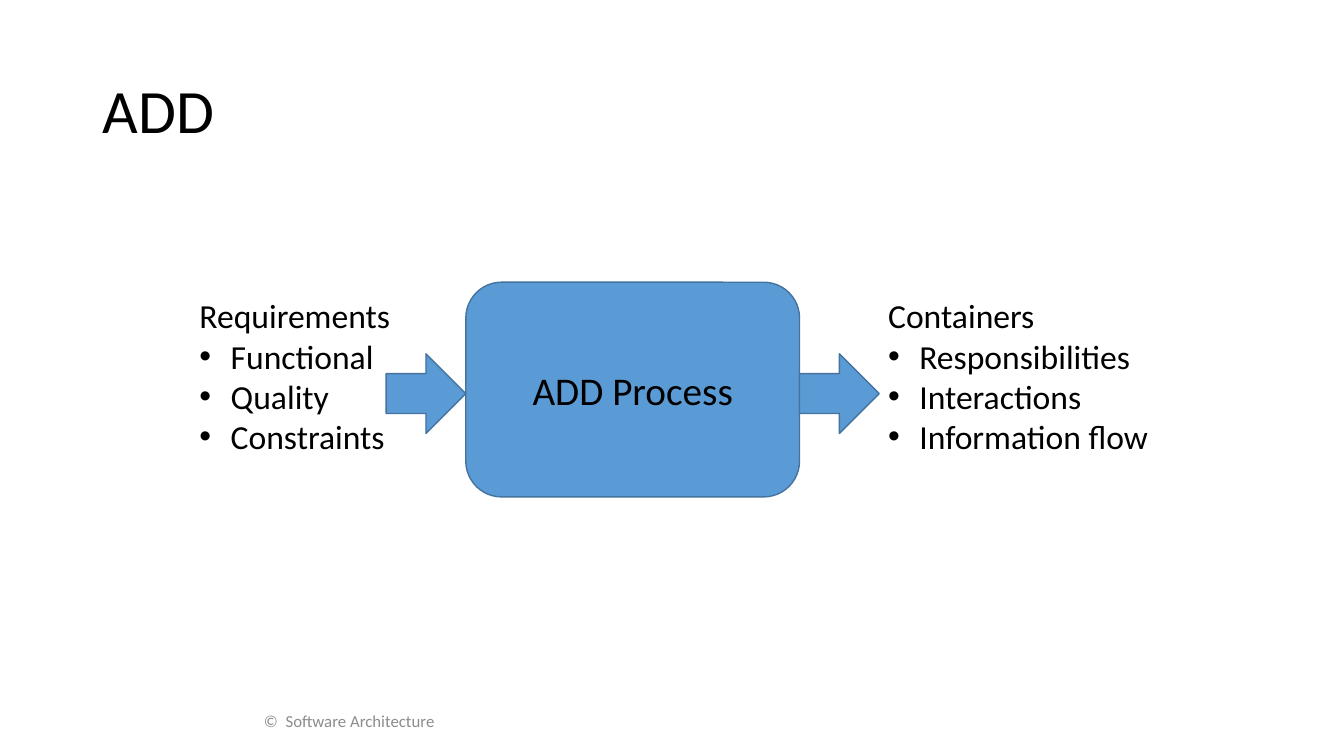
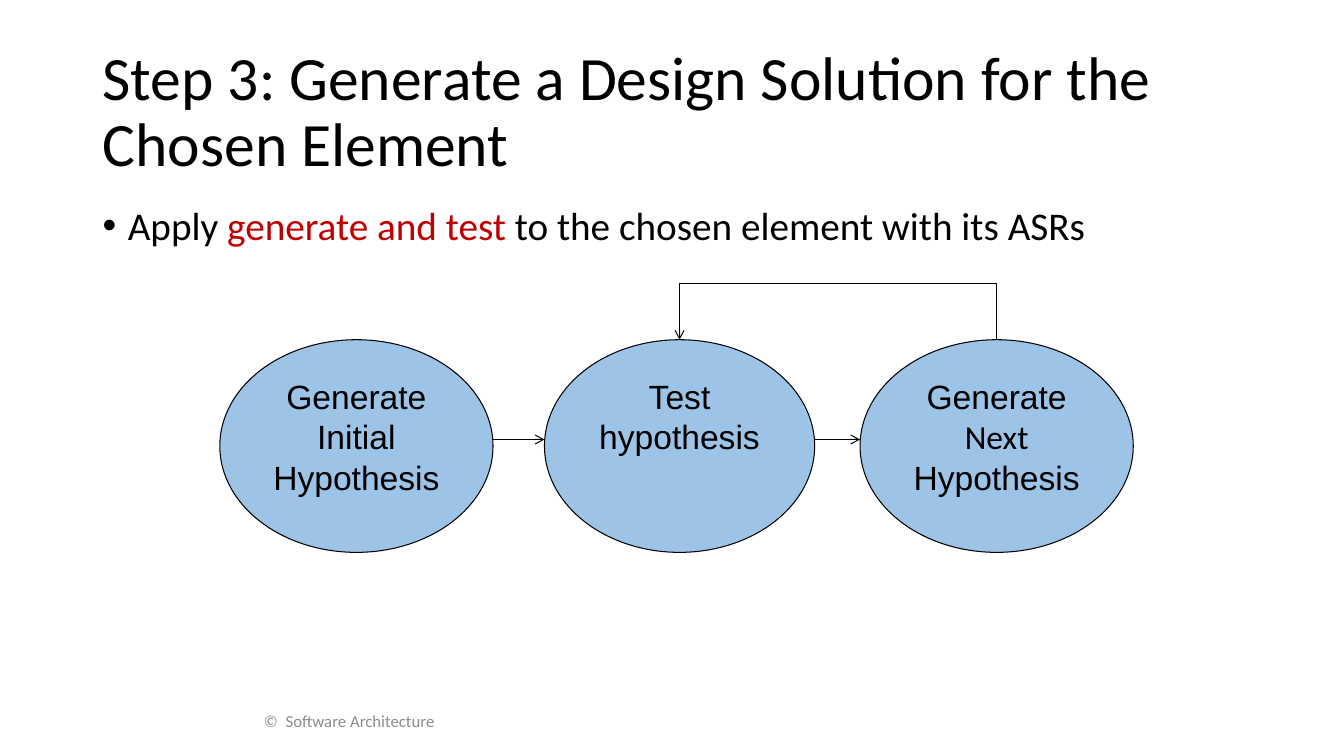
import pptx
import pptx.util
import pptx.dml.color
import pptx.enum.shapes
import pptx.enum.text
import pptx.oxml.ns
import lxml.etree

Inches = pptx.util.Inches
Pt = pptx.util.Pt
Shapes = pptx.enum.shapes.MSO_SHAPE
Align = pptx.enum.text.PP_ALIGN
Anchor = pptx.enum.text.MSO_ANCHOR
qn = pptx.oxml.ns.qn

theme = {
    "text": "000000", "muted": "8C8C8C", "accent": "C00000",
    "process": "5B9BD5", "process_line": "43739E", "bubble": "9DC3E6",
    "font": "Calibri", "bubble_font": "Arial",
    "title": 44, "body": 28, "label": 24, "footer": 12,
}


def write(shape, paragraphs, size, color="text", font="font", anchor=Anchor.TOP,
          wrap=True, indent=0.31, **formats):
    frame = shape.text_frame
    frame.word_wrap = wrap
    frame.vertical_anchor = anchor
    for index, (bullet, runs) in enumerate(paragraphs):
        para = frame.add_paragraph() if index else frame.paragraphs[0]
        for name, value in {"alignment": Align.LEFT, **formats}.items():
            setattr(para, name, value)
        if bullet:
            properties = para._p.get_or_add_pPr()
            properties.set("marL", str(Inches(indent)))
            properties.set("indent", str(-Inches(indent)))
            lxml.etree.SubElement(properties, qn("a:buFont")).set("typeface", "Arial")
            lxml.etree.SubElement(properties, qn("a:buChar")).set("char", "•")
        for text, changes in runs:
            look = {"color": color, "font": font, **changes}
            span = para.add_run()
            span.text = text
            for name, value in {"size": Pt(theme[size]), "name": theme[look["font"]]}.items():
                setattr(span.font, name, value)
            span.font.color.rgb = pptx.dml.color.RGBColor.from_string(theme[look["color"]])


def draw(slide, kind, place, fill, line, width):
    shape = slide.shapes.add_shape(kind, *map(Inches, place))
    shape.shadow.inherit = False
    shape.fill.solid()
    shape.fill.fore_color.rgb = pptx.dml.color.RGBColor.from_string(theme[fill])
    shape.line.color.rgb = pptx.dml.color.RGBColor.from_string(theme[line])
    shape.line.width = Pt(width)
    return shape


deck = pptx.Presentation()
deck.slide_width, deck.slide_height = Inches(13.33), Inches(7.5)

slides = []
for title in ("ADD", "Step 3: Generate a Design Solution for the Chosen Element"):
    slide = deck.slides.add_slide(deck.slide_layouts[6])
    box = slide.shapes.add_textbox(*map(Inches, (0.92, 0.4, 11.5, 1.45)))
    write(box, [(False, [(title, {})])], "title", anchor=Anchor.MIDDLE, line_spacing=0.9)
    box = slide.shapes.add_textbox(*map(Inches, (0, 6.95, 6.93, 0.4)))
    write(box, [(False, [("©  Software Architecture", {})])], "footer", "muted",
          anchor=Anchor.MIDDLE, alignment=Align.CENTER)
    slides.append(slide)
process_slide, step_slide = slides

process = draw(process_slide, Shapes.ROUNDED_RECTANGLE, (4.62, 2.8, 3.31, 2.13),
               "process", "process_line", 1)
write(process, [(False, [("ADD Process", {})])], "body",
      anchor=Anchor.MIDDLE, alignment=Align.CENTER)

lists = [
    (1.88, 2.11, False, ["Requirements", "Functional", "Quality", "Constraints"]),
    (8.71, 3.11, True, ["Containers", "Responsibilities", "Interactions", "Information flow"]),
]
for left, width, wrap, lines in lists:
    box = process_slide.shapes.add_textbox(*map(Inches, (left, 2.88, width, 1.72)))
    write(box, [(index > 0, [(line, {})]) for index, line in enumerate(lines)],
          "label", wrap=wrap)

for left in (7.93, 3.83):
    draw(process_slide, Shapes.RIGHT_ARROW, (left, 3.51, 0.79, 0.79),
         "process", "process_line", 1)

body = step_slide.shapes.add_textbox(*map(Inches, (0.92, 2, 11.5, 4.76)))
write(body, [(True, [("Apply ", {}), ("generate and test", {"color": "accent"}),
                     (" to the chosen element with its ASRs", {})])],
      "body", indent=0.25, line_spacing=0.9, space_before=Pt(10))

bubbles = [
    (2.18, 2.71, [("Generate Initial Hypothesis", {})]),
    (5.4, 2.68, [("Test hypothesis", {})]),
    (8.53, 2.71, [("Generate ", {}), ("Next ", {"font": "font"}), ("Hypothesis", {})]),
]
for left, width, runs in bubbles:
    bubble = draw(step_slide, Shapes.OVAL, (left, 3.37, width, 2.11), "bubble", "text", 0.75)
    write(bubble, [(False, runs)], "label", font="bubble_font", alignment=Align.CENTER)

links = [
    (4.88, 4.36, 5.4, 4.36, True),
    (8.08, 4.36, 8.53, 4.36, True),
    (9.88, 3.37, 9.88, 2.81, False),
    (9.88, 2.81, 6.74, 2.81, False),
    (6.74, 2.81, 6.74, 3.37, True),
]
for *ends, arrow in links:
    link = step_slide.shapes.add_connector(
        pptx.enum.shapes.MSO_CONNECTOR.STRAIGHT, *map(Inches, ends))
    link.line.color.rgb = pptx.dml.color.RGBColor.from_string(theme["text"])
    link.line.width = Pt(0.75)
    if arrow:
        lxml.etree.SubElement(link.line._get_or_add_ln(), qn("a:tailEnd")).set("type", "arrow")
    lxml.etree.SubElement(link._element.spPr, qn("a:effectLst"))

deck.save("out.pptx")
